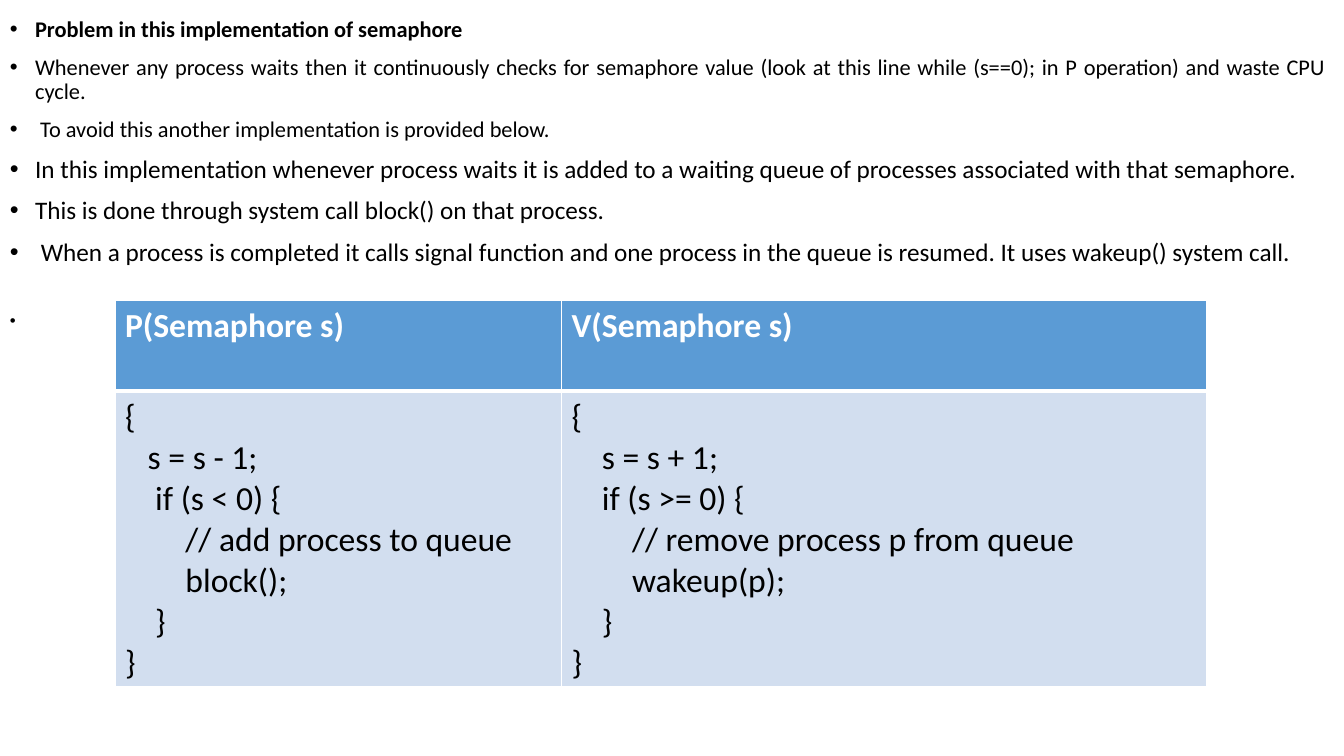
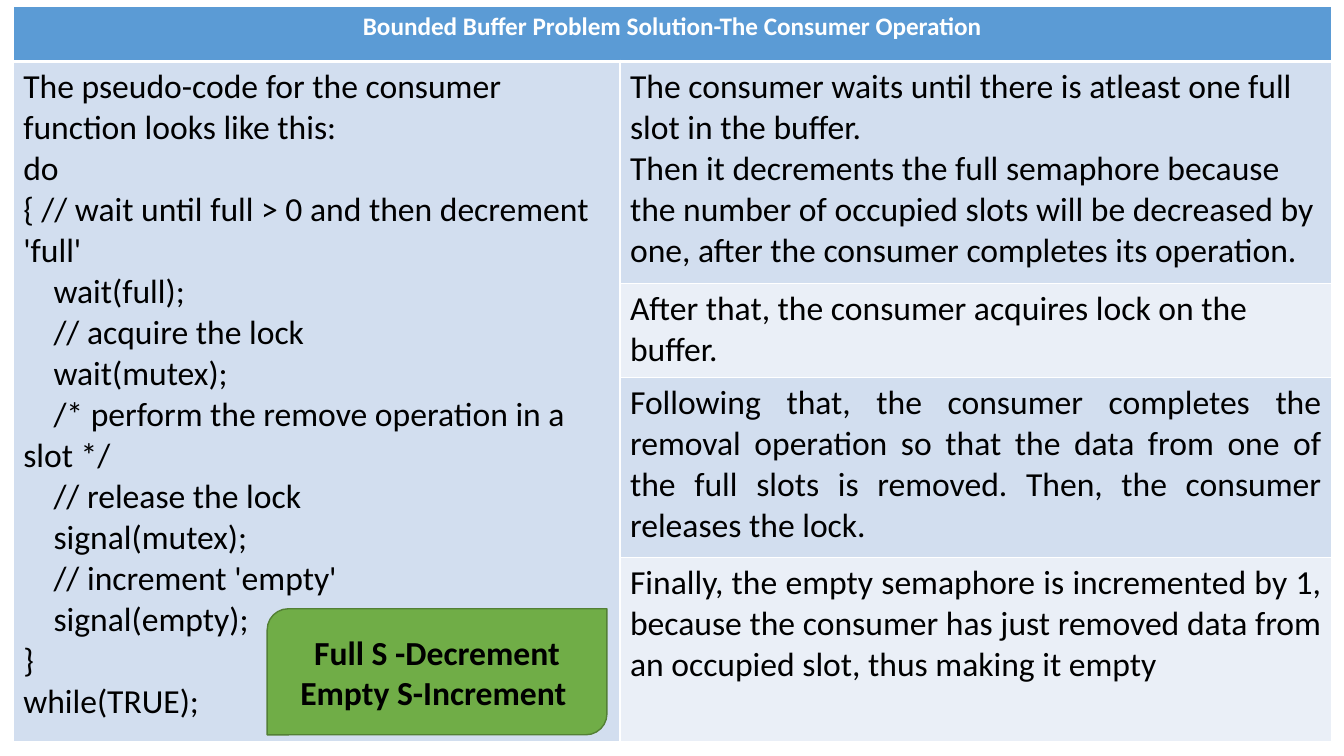
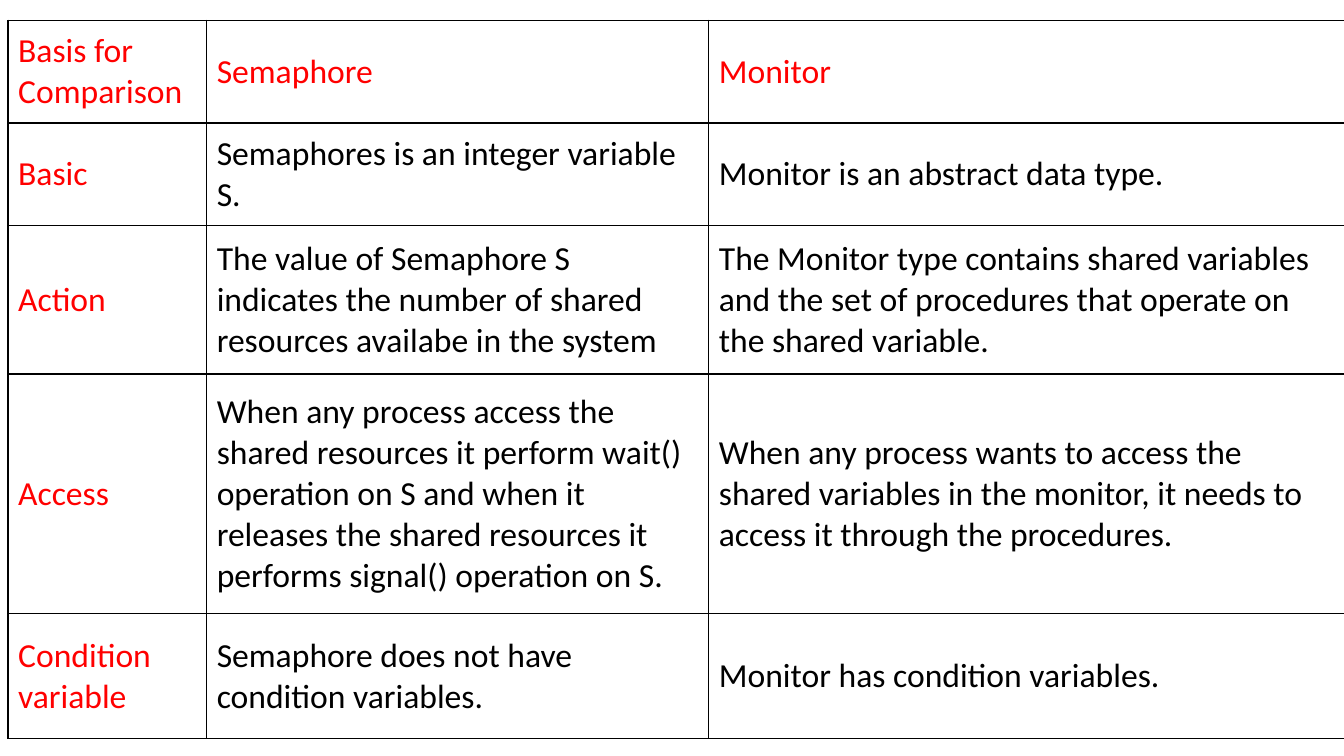
from lxml import etree
from pptx import Presentation
from pptx import util as u
from pptx.dml.color import RGBColor
from pptx.enum import shapes, text
from pptx.oxml.ns import qn

WIDE, HIGH = u.Inches(13.33), u.Inches(7.5)
FONT = "Calibri"
SPACE = u.Inches(0.075)
HUES = {"head": "5B9BD5", "band": "D2DEEF", "pale": "EAEFF7", "white": "FFFFFF",
        "black": "000000", "red": "FF0000", "green": "70AD47", "rim": "538035"}
JUST, MID = text.PP_ALIGN.JUSTIFY, text.PP_ALIGN.CENTER

NOTES = [
    (16, "Problem in this implementation of semaphore"),
    (16, "Whenever any process waits then it continuously checks for semaphore value "
         "(look at this line while (s==0); in P operation) and waste CPU cycle."),
    (16, " To avoid this another implementation is provided below."),
    (18, "In this implementation whenever process waits it is added to a waiting queue "
         "of processes associated with that semaphore."),
    (18, "This is done through system call block() on that process."),
    (18, " When a process is completed it calls signal function and one process in the "
         "queue is resumed. It uses wakeup() system call."),
    (12, " "),
]
WAIT = [(0, "{"), (3, "s = s - 1;"), (4, "if (s < 0) {"), (8, "// add process to queue"),
        (8, "block();"), (4, "}"), (0, "}")]
WAKE = [(0, "{"), (4, "s = s + 1;"), (4, "if (s >= 0) {"),
        (8, "// remove process p from queue"), (8, "wakeup(p);"), (4, "}"), (0, "}")]
TAKE = [(0, "The pseudo-code for the consumer function looks like this:"), (0, "do"),
        (0, "{ // wait until full > 0 and then decrement 'full'"), (4, "wait(full);"),
        (4, "// acquire the lock"), (4, "wait(mutex);"),
        (4, "/* perform the remove operation in a slot */"), (4, "// release the lock"),
        (4, "signal(mutex);"), (4, "// increment 'empty'"), (4, "signal(empty);"),
        (0, "}"), (0, "while(TRUE);")]
STEPS = [
    "The consumer waits until there is atleast one full slot in the buffer.\n"
    "Then it decrements the full semaphore because the number of occupied slots will be "
    "decreased by one, after the consumer completes its operation.",
    "After that, the consumer acquires lock on the buffer.",
    "Following that, the consumer completes the removal operation so that the data from "
    "one of the full slots is removed. Then, the consumer releases the lock.",
    "Finally, the empty semaphore is incremented by 1, because the consumer has just "
    "removed data from an occupied slot, thus making it empty",
]
PAIRS = [
    ["Basis for Comparison", "Semaphore", "Monitor"],
    ["Basic", "Semaphores is an integer variable S.", "Monitor is an abstract data type."],
    ["Action", "The value of Semaphore S indicates the number of shared resources availabe "
               "in the system",
     "The Monitor type contains shared variables and the set of procedures that operate on "
     "the shared variable."],
    ["Access", "When any process access the shared resources it perform wait() operation on "
               "S and when it releases the shared resources it performs signal() operation "
               "on S.",
     "When any process wants to access the shared variables in the monitor, it needs to "
     "access it through the procedures."],
    ["Condition variable", "Semaphore does not have condition variables.",
     "Monitor has condition variables."],
]


def hue(name):
    """Return the named colour."""
    return RGBColor.from_string(HUES[name])


def across(share):
    """Turn a percentage of the slide's width into a length."""
    return int(WIDE * share / 100)


def down(share):
    """Turn a percentage of the slide's height into a length."""
    return int(HIGH * share / 100)


def place(left, top, width, height):
    """Turn four percentages into a position and a size."""
    return across(left), down(top), across(width), down(height)


def style(para, size=24, tint="black", bold=False, align=None):
    """Format one paragraph and its runs."""
    para.alignment = align
    for run in para.runs:
        run.font.name, run.font.size, run.font.bold = FONT, u.Pt(size), bold
        run.font.color.rgb = hue(tint)


def edge(cell, side, tint, width):
    """Draw one border of a cell."""
    line = etree.SubElement(cell._tc.get_or_add_tcPr(), qn("a:ln" + side), w=str(u.Pt(width)))
    fill = etree.SubElement(line, qn("a:solidFill"))
    etree.SubElement(fill, qn("a:srgbClr"), val=HUES[tint])


def write(cell, words, **look):
    """Write a string, or lines of code with their indents, into a cell."""
    lines = words if isinstance(words, list) else [(0, part) for part in words.split("\n")]
    cell.text_frame.text = "\n".join(line for _, line in lines)
    for para, (dent, _) in zip(cell.text_frame.paragraphs, lines):
        style(para, **look)
        if dent:
            para._p.get_or_add_pPr().set("indent", str(dent * SPACE))


def table(slide, left, top, cols, rows, cells, look, rule="white", head=True):
    """Add a table whose cells are formatted by the look function."""
    area = place(left, top, sum(cols), sum(rows))
    grid = slide.shapes.add_table(len(rows), len(cols), *area).table
    grid.first_row, grid.horz_banding = head, False
    for col, share in zip(grid.columns, cols):
        col.width = across(share)
    for row, share in zip(grid.rows, rows):
        row.height = down(share)
    for r, line in enumerate(cells):
        for c, words in enumerate(line):
            cell = grid.cell(r, c)
            fill, looks = look(r, c)
            thick = {"T": head and r == 1, "B": head and r == 0}
            for side in "LRTB":
                edge(cell, side, rule, 3 if thick.get(side) else 1)
            if fill:
                cell.fill.solid()
                cell.fill.fore_color.rgb = hue(fill)
            else:
                cell.fill.background()
                cell.vertical_anchor = text.MSO_ANCHOR.MIDDLE
            write(cell, words, **looks)
    return grid


def points(slide, area, items):
    """Add a justified bullet list."""
    frame = slide.shapes.add_textbox(*place(*area)).text_frame
    frame.word_wrap = True
    frame.text = "\n".join(words for _, words in items)
    for n, (para, (size, words)) in enumerate(zip(frame.paragraphs, items)):
        style(para, size, bold=n == 0, align=JUST)
        para.line_spacing = 0.9
        para.space_before = u.Pt(10 if words.strip() else 33)
        props = para._p.get_or_add_pPr()
        props.set("marL", str(u.Inches(0.25)))
        props.set("indent", str(-u.Inches(0.25)))
        etree.SubElement(props, qn("a:buFont"), typeface="Arial")
        etree.SubElement(props, qn("a:buChar"), char="•")


def badge(slide, area, words):
    """Add a green label with two round corners."""
    kind = shapes.MSO_SHAPE.ROUND_2_DIAG_RECTANGLE
    shape = slide.shapes.add_shape(kind, *place(*area))
    shape.shadow.inherit = False
    shape.fill.solid()
    shape.fill.fore_color.rgb = hue("green")
    shape.line.color.rgb = hue("rim")
    shape.line.width = u.Pt(1)
    frame = shape.text_frame
    frame.vertical_anchor = text.MSO_ANCHOR.MIDDLE
    frame.text = words
    for para in frame.paragraphs:
        style(para, bold=True, align=MID)


def code(r, c):
    """Format the cells of the semaphore code."""
    if r == 0:
        return "head", {"tint": "white", "bold": True}
    return "band", {"align": JUST}


def buyer(r, c):
    """Format the cells of the consumer operation."""
    if r == 0:
        return "head", {"size": 18, "tint": "white", "bold": True, "align": MID}
    fill = "band" if r % 2 or c == 0 else "pale"
    return fill, {"align": JUST if r > 2 and c else None}


def versus(r, c):
    """Format the cells of the comparison."""
    return None, {"tint": "black" if r and c else "red"}


def main():
    """Build the three slides."""
    deck = Presentation()
    deck.slide_width, deck.slide_height = WIDE, HIGH
    queue, buffer, match = [deck.slides.add_slide(deck.slide_layouts[6]) for _ in range(3)]

    points(queue, (0, 1.73, 99.4, 96.13), NOTES)
    table(queue, 8.55, 39.73, [33.23, 48.01], [12, 39.07],
          [["P(Semaphore s)", "V(Semaphore s)"], [WAIT, WAKE]], code)

    title = "Bounded Buffer Problem Solution-The Consumer Operation"
    cells = [[title, ""]] + [["" if n else TAKE, step] for n, step in enumerate(STEPS)]
    grid = table(buffer, 0.98, 0.8, [45.15, 52.95], [7.33, 29.33, 12.53, 23.73, 24.4],
                 cells, buyer)
    grid.cell(0, 0).merge(grid.cell(0, 1))
    grid.cell(1, 0).merge(grid.cell(4, 0))
    badge(buffer, (19.88, 80.53, 25.28, 16.67), "Full S -Decrement\nEmpty S-Increment ")

    table(match, 0.6, 2.67, [14.78, 37.36, 47.33], [13.6, 13.6, 19.6, 31.73, 16.53],
          PAIRS, versus, "black", False)
    deck.save("out.pptx")


if __name__ == "__main__":
    main()
